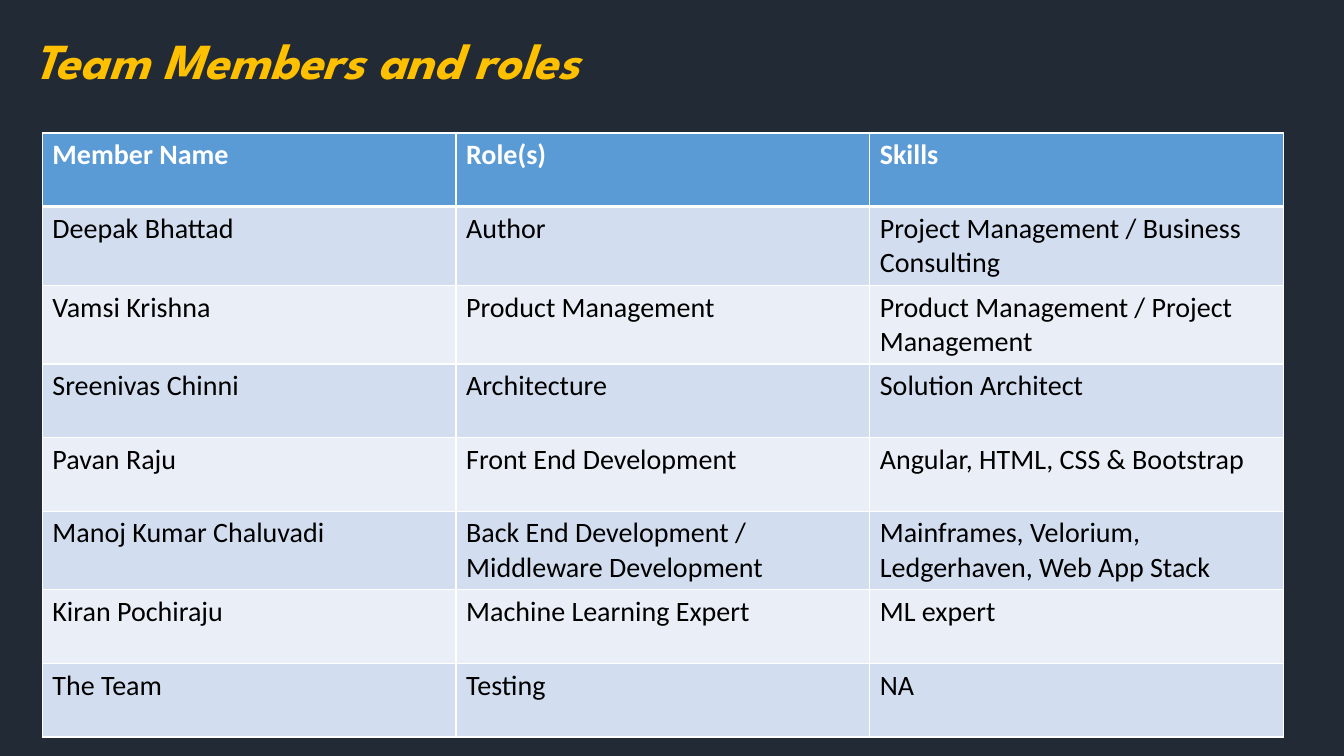
from lxml.etree import SubElement as Sub
from pptx import Presentation
from pptx.dml.color import RGBColor as Rgb
from pptx.enum.text import MSO_ANCHOR as Anchor, MSO_AUTO_SIZE as Auto, PP_ALIGN as Align
from pptx.oxml.ns import qn
from pptx.util import Inches, Pt

HUES = {"back": "222A35", "gold": "FFC000", "head": "5B9BD5", "odd": "D2DEEF",
        "even": "EAEFF7", "white": "FFFFFF", "black": "000000"}
ROWS = [
    ("Member Name", "Role(s)", "Skills"),
    ("Deepak Bhattad", "Author", "Project Management / Business Consulting"),
    ("Vamsi Krishna", "Product Management", "Product Management / Project Management"),
    ("Sreenivas Chinni", "Architecture", "Solution Architect"),
    ("Pavan Raju", "Front End Development", "Angular, HTML, CSS & Bootstrap"),
    ("Manoj Kumar Chaluvadi", "Back End Development / Middleware Development",
     "Mainframes, Velorium, Ledgerhaven, Web App Stack"),
    ("Kiran Pochiraju", "Machine Learning Expert", "ML expert"),
    ("The Team", "Testing", "NA"),
]


def style(font, hue, **form):
    for key, val in form.items():
        setattr(font, key, val)
    font.color.rgb = Rgb.from_string(HUES[hue])


def edge(cell, side, width):
    line = Sub(cell._tc.get_or_add_tcPr(), qn(f"a:ln{side}"), w=str(Pt(width)))
    fill = Sub(line, qn("a:solidFill"))
    Sub(fill, qn("a:srgbClr"), val=HUES["white"])


deck = Presentation()
deck.slide_width, deck.slide_height = Inches(13.33), Inches(7.5)
slide = deck.slides.add_slide(deck.slide_layouts[5])
slide.background.fill.solid()
slide.background.fill.fore_color.rgb = Rgb.from_string(HUES["back"])

title = slide.shapes.title
place = {"left": 0.23, "top": 0.36, "width": 7.92, "height": 0.59}
for key, val in place.items():
    setattr(title, key, Inches(val))
frame = title.text_frame
frame.text = "Team Members and roles"
form = {"auto_size": Auto.NONE, "word_wrap": True, "vertical_anchor": Anchor.BOTTOM}
for key, val in form.items():
    setattr(frame, key, val)
para = frame.paragraphs[0]
para.alignment, para.line_spacing = Align.LEFT, 0.9
style(para.runs[0].font, "gold", name="League Spartan", size=Pt(36), bold=True, italic=True)

table = slide.shapes.add_table(
    len(ROWS), 3, Inches(0.42), Inches(1.32), Inches(12.31), Inches(5.82)).table
for row in table.rows:
    row.height = Inches(0.73)

for r, row in enumerate(ROWS):
    band = "head" if r == 0 else "odd" if r % 2 else "even"
    for c, text in enumerate(row):
        cell = table.cell(r, c)
        cell.text = text
        style(cell.text_frame.paragraphs[0].runs[0].font, "black" if r else "white",
              name="Calibri", size=Pt(20), bold=r == 0)
        widths = {"L": 1, "R": 1, "T": 3 if r == 1 else 1, "B": 1 if r else 3}
        for side, width in widths.items():
            edge(cell, side, width)
        cell.fill.solid()
        cell.fill.fore_color.rgb = Rgb.from_string(HUES[band])

deck.save("out.pptx")
